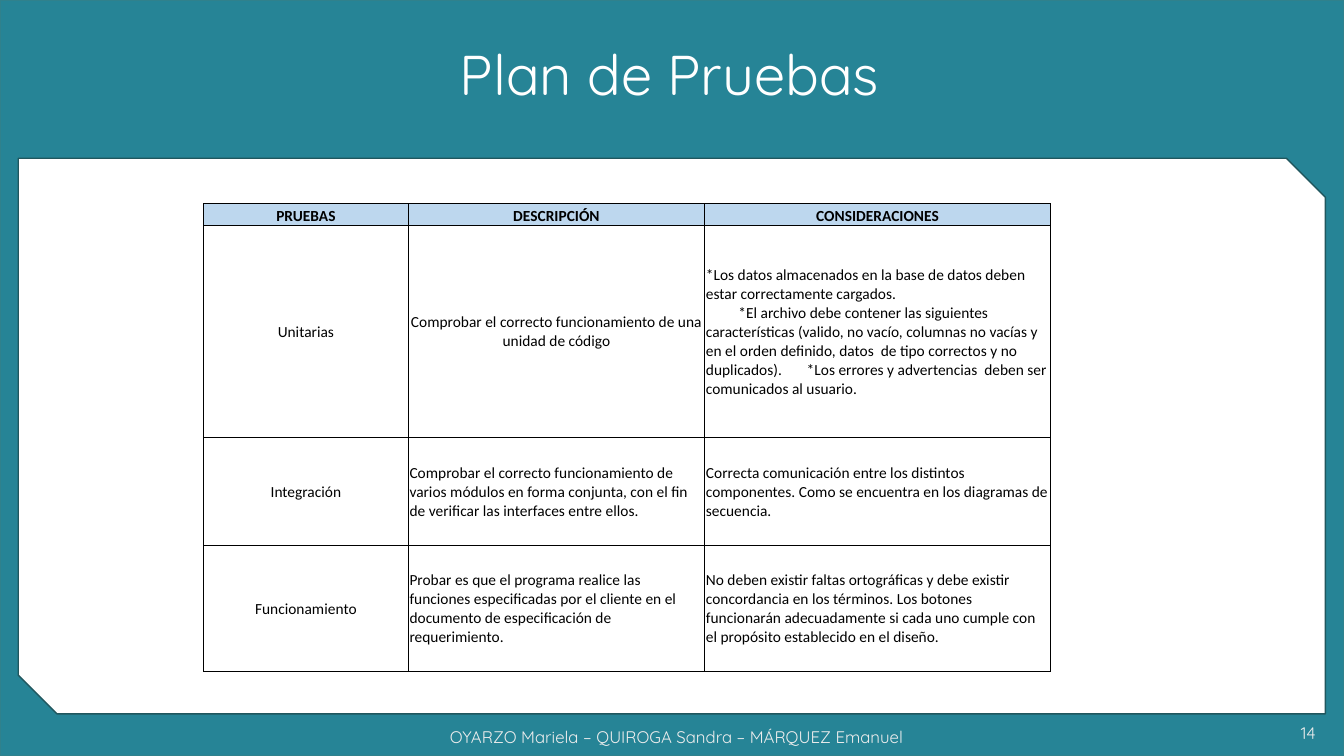
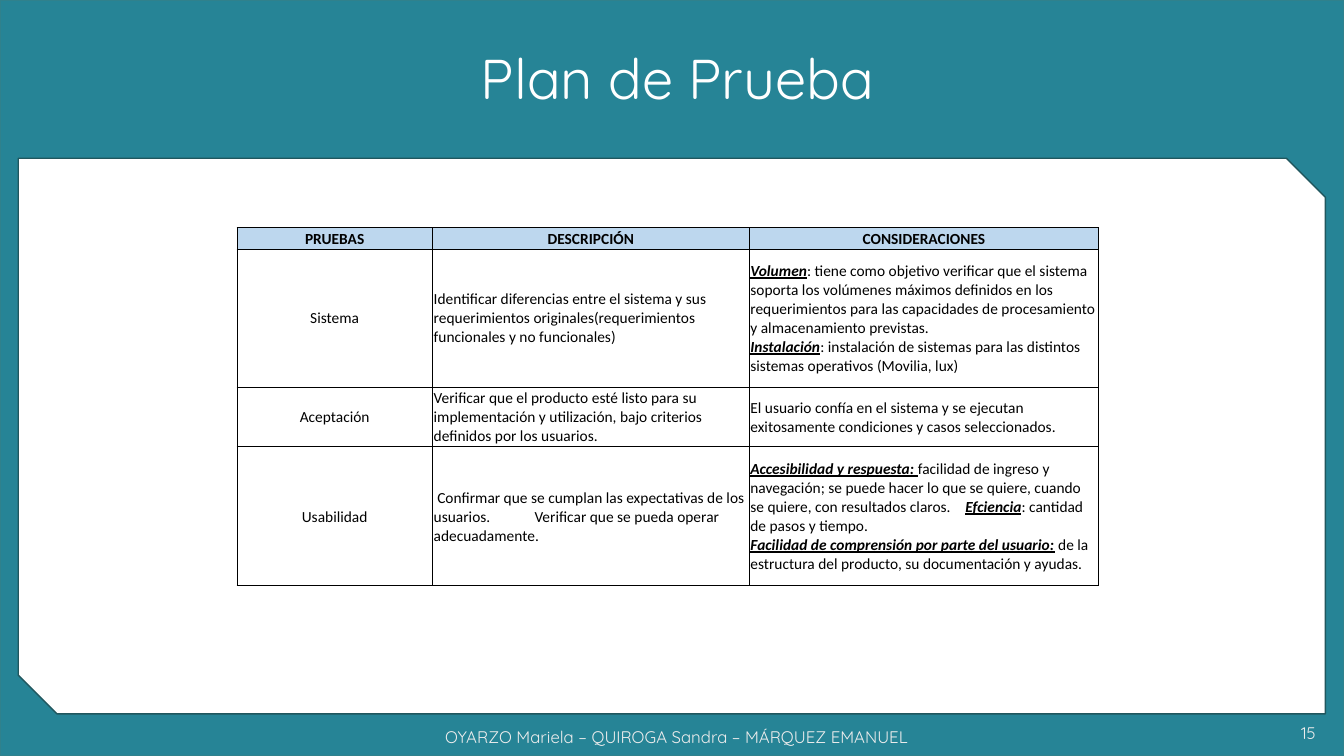
from dataclasses import dataclass
from typing import NamedTuple

from lxml import etree
from pptx import Presentation
from pptx.dml.color import RGBColor
from pptx.enum.shapes import MSO_SHAPE
from pptx.enum.text import MSO_ANCHOR, PP_ALIGN
from pptx.oxml.ns import qn
from pptx.util import Cm, Pt

RECT, SNIP = MSO_SHAPE.RECTANGLE, MSO_SHAPE.SNIP_2_DIAG_RECTANGLE
MIDDLE, BOTTOM = MSO_ANCHOR.MIDDLE, MSO_ANCHOR.BOTTOM
LEFT, CENTER, RIGHT = PP_ALIGN.LEFT, PP_ALIGN.CENTER, PP_ALIGN.RIGHT

# Shared style
WIDE, HIGH = 33.87, 19.05
PAPER, TEAL, EDGE, RIM = "F2F2F2", "268496", "30818C", "20575E"
WHITE, BLACK, PALE, SKY = "FFFFFF", "000000", "EDEDED", "BDD7EE"
HEAD_FONT, CELL_FONT = "Quicksand", "Calibri"
HEADS = ("PRUEBAS", "DESCRIPCIÓN", "CONSIDERACIONES")


class Box(NamedTuple):
    left: float
    top: float
    width: float
    height: float

    def cm(self) -> list:
        return [Cm(side) for side in self]


class Words(NamedTuple):
    text: str
    key: bool = False  # bold, italic and underlined


@dataclass
class Para:
    words: list[Words]
    indent: float = 0
    tab: float = 0
    align: PP_ALIGN = LEFT


@dataclass
class Grid:
    left: float
    top: float
    cols: list[float]
    rows: list[float]
    body: list[list[list[Para]]]


@dataclass
class Page:
    title: str
    title_box: Box
    names: str
    number: int
    grid: Grid


def plain(text: str, **style) -> list[Para]:
    return [Para([Words(text)], **style)]


def mid(text: str) -> list[Para]:
    return plain(text, align=CENTER)


def color(code: str) -> RGBColor:
    return RGBColor.from_string(code)


# Drawing helpers
def add_run(para, text: str, font: str, size: float, code: str):
    run = para.add_run()
    run.text = text
    run.font.name, run.font.size = font, Pt(size)
    run.font.color.rgb = color(code)
    return run


def add_panel(slide, kind, box: Box, fill: str, line: str):
    shape = slide.shapes.add_shape(kind, *box.cm())
    shape.shadow.inherit = False
    shape.fill.solid()
    shape.fill.fore_color.rgb = color(fill)
    shape.line.color.rgb = color(line)
    shape.line.width = Pt(1)
    return shape


def add_label(slide, box: Box, text: str, size: float, code: str, align):
    frame = slide.shapes.add_textbox(*box.cm()).text_frame
    frame.word_wrap = True
    frame.vertical_anchor = MIDDLE
    para = frame.paragraphs[0]
    para.alignment = align
    add_run(para, text, HEAD_FONT, size, code)
    return para


def add_lines(cell) -> None:
    props = cell._tc.get_or_add_tcPr()
    for side in ("lnL", "lnR", "lnT", "lnB"):
        line = etree.SubElement(props, qn("a:" + side), w=str(Pt(0.5)))
        fill = etree.SubElement(line, qn("a:solidFill"))
        etree.SubElement(fill, qn("a:srgbClr"), val=BLACK)


def set_para(para, model: Para, bold: bool) -> None:
    para.alignment = model.align
    props = para._p.get_or_add_pPr()
    if model.indent:
        props.set("indent", str(Cm(model.indent)))
    if model.tab:
        tabs = etree.SubElement(props, qn("a:tabLst"))
        etree.SubElement(tabs, qn("a:tab"), pos=str(Cm(model.tab)), algn="l")
    for words in model.words:
        font = add_run(para, words.text, CELL_FONT, 11, BLACK).font
        font.bold = bold or words.key
        font.italic = font.underline = words.key


def set_cell(cell, paras: list[Para], head: bool) -> None:
    cell.margin_left = cell.margin_right = cell.margin_top = Cm(0.03)
    cell.margin_bottom = 0
    cell.vertical_anchor = BOTTOM if head else MIDDLE
    add_lines(cell)
    if head:
        cell.fill.solid()
        cell.fill.fore_color.rgb = color(SKY)
    else:
        cell.fill.background()
    frame = cell.text_frame
    for i, model in enumerate(paras):
        para = frame.add_paragraph() if i else frame.paragraphs[0]
        set_para(para, model, head)


def add_grid(slide, grid: Grid) -> None:
    box = Box(grid.left, grid.top, sum(grid.cols), sum(grid.rows))
    table = slide.shapes.add_table(
        len(grid.rows), len(grid.cols), *box.cm()).table
    table.first_row = table.horz_banding = False
    for col, width in zip(table.columns, grid.cols):
        col.width = Cm(width)
    for row, height in zip(table.rows, grid.rows):
        row.height = Cm(height)
    for r, line in enumerate([[mid(head) for head in HEADS], *grid.body]):
        for c, paras in enumerate(line):
            set_cell(table.cell(r, c), paras, r == 0)


def add_page(deck, page: Page) -> None:
    slide = deck.slides.add_slide(deck.slide_layouts[6])
    slide.background.fill.solid()
    slide.background.fill.fore_color.rgb = color(PAPER)
    # Frame
    add_panel(slide, RECT, Box(0, 0, WIDE, HIGH), TEAL, EDGE)
    panel = add_panel(slide, SNIP, Box(0.46, 3.99, 32.94, 14), WHITE, RIM)
    panel.adjustments[0], panel.adjustments[1] = 0, 0.07
    # Title and footer
    title = add_label(slide, page.title_box, page.title, 40, WHITE, CENTER)
    title.line_spacing = 0.9
    add_label(slide, Box(8.48, 18.06, 17.15, 1.02), page.names,
              12, PALE, CENTER)
    add_label(slide, Box(28.63, 17.98, 4.78, 0.99), str(page.number),
              12, PALE, RIGHT)
    add_grid(slide, page.grid)


# Content
PAGES = [
    Page(
        "Plan de Pruebas", Box(6.61, 0.1, 20.52, 3.68),
        "OYARZO Mariela – QUIROGA Sandra – MÁRQUEZ Emanuel", 14,
        Grid(5.13, 5.13, [5.16, 7.47, 8.71], [0.56, 5.33, 2.72, 3.18], [
            [mid("Unitarias"),
             mid("Comprobar el correcto funcionamiento de una unidad de "
                 "código"),
             plain("*Los datos almacenados en la base de datos deben estar "
                   "correctamente cargados.")
             + plain("*El archivo debe contener las siguientes "
                     "características (valido, no vacío, columnas no vacías "
                     "y en el orden definido, datos  de tipo correctos y no "
                     "duplicados).\t*Los errores y advertencias  deben ser "
                     "comunicados al usuario.", indent=0.82, tab=5.55)],
            [mid("Integración"),
             plain("Comprobar el correcto funcionamiento de varios módulos "
                   "en forma conjunta, con el fin de verificar las "
                   "interfaces entre ellos."),
             plain("Correcta comunicación entre los distintos componentes. "
                   "Como se encuentra en los diagramas de secuencia.")],
            [mid("Funcionamiento"),
             plain("Probar es que el programa realice las funciones "
                   "especificadas por el cliente en el documento de "
                   "especificación de requerimiento."),
             plain("No deben existir faltas ortográficas y debe existir "
                   "concordancia en los términos. Los botones funcionarán "
                   "adecuadamente si cada uno cumple con el propósito "
                   "establecido en el diseño.")],
        ])),
    Page(
        "Plan de Prueba", Box(6.81, 0.2, 20.52, 3.68),
        "OYARZO Mariela – QUIROGA Sandra – MÁRQUEZ EMANUEL", 15,
        Grid(5.97, 5.74, [4.93, 7.98, 8.81], [0.53, 3.48, 1.5, 3.51], [
            [mid("Sistema"),
             plain("Identificar diferencias entre el sistema y sus "
                   "requerimientos originales(requerimientos funcionales y "
                   "no funcionales)"),
             [Para([Words("Volumen", True),
                    Words(": tiene como objetivo verificar que el sistema "
                          "soporta los volúmenes máximos definidos en los "
                          "requerimientos para las capacidades de "
                          "procesamiento y almacenamiento previstas.")]),
              Para([Words("Instalación", True),
                    Words(": instalación de sistemas para las distintos "
                          "sistemas operativos (Movilia, lux)")])]],
            [mid("Aceptación"),
             plain("Verificar que el producto esté listo para su "
                   "implementación y utilización, bajo criterios definidos "
                   "por los usuarios."),
             plain("El usuario confía en el sistema y se ejecutan "
                   "exitosamente condiciones y casos seleccionados.")],
            [mid("Usabilidad"),
             plain("Confirmar que se cumplan las expectativas de los "
                   "usuarios.\tVerificar que se pueda operar "
                   "adecuadamente.", indent=0.09, tab=1.97),
             [Para([Words("Accesibilidad y respuesta: ", True),
                    Words("facilidad de ingreso y navegación; se puede "
                          "hacer lo que se quiere, cuando se quiere, con "
                          "resultados claros.\t"),
                    Words("Efciencia", True),
                    Words(": cantidad de pasos y tiempo.")], tab=5.42),
              Para([Words("Facilidad de comprensión por parte del usuario:",
                          True),
                    Words(" de la estructura del producto, su documentación "
                          "y ayudas.")])]],
        ])),
]


def main() -> None:
    deck = Presentation()
    deck.slide_width, deck.slide_height = Cm(WIDE), Cm(HIGH)
    for page in PAGES:
        add_page(deck, page)
    deck.save("out.pptx")


if __name__ == "__main__":
    main()
